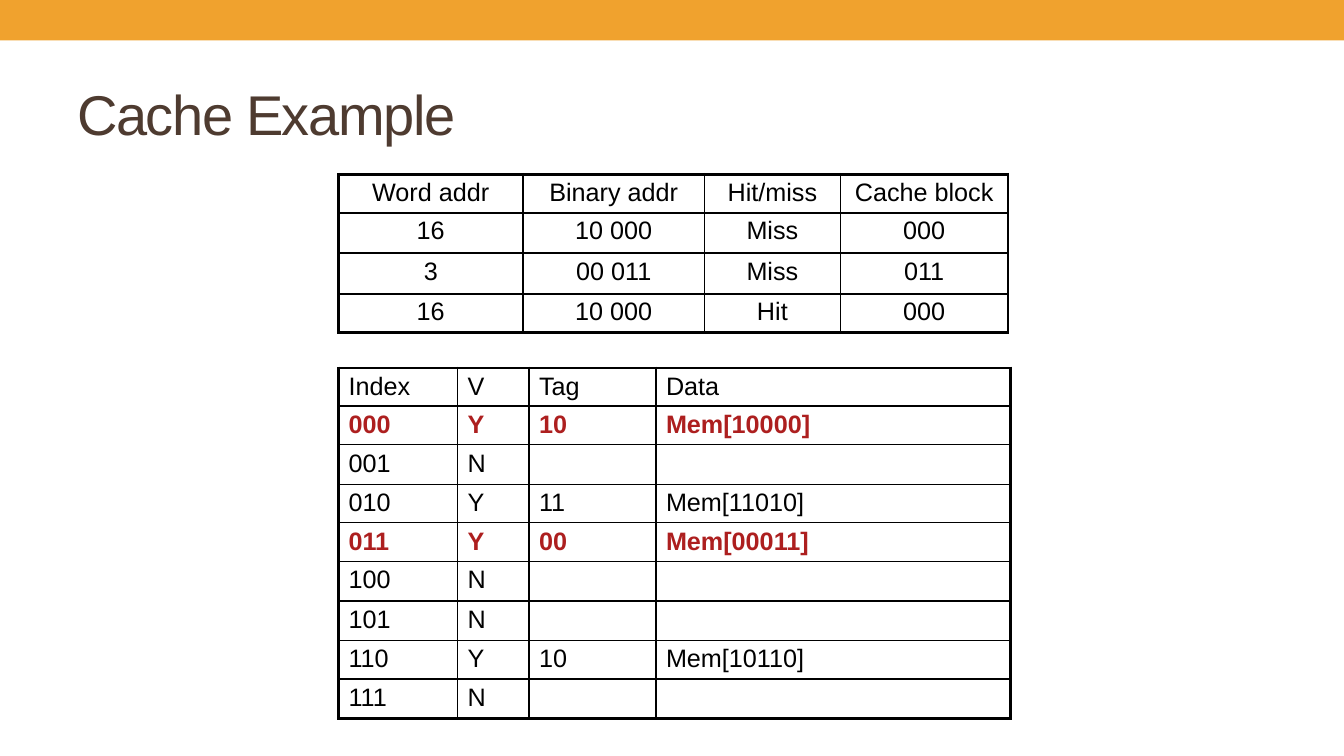
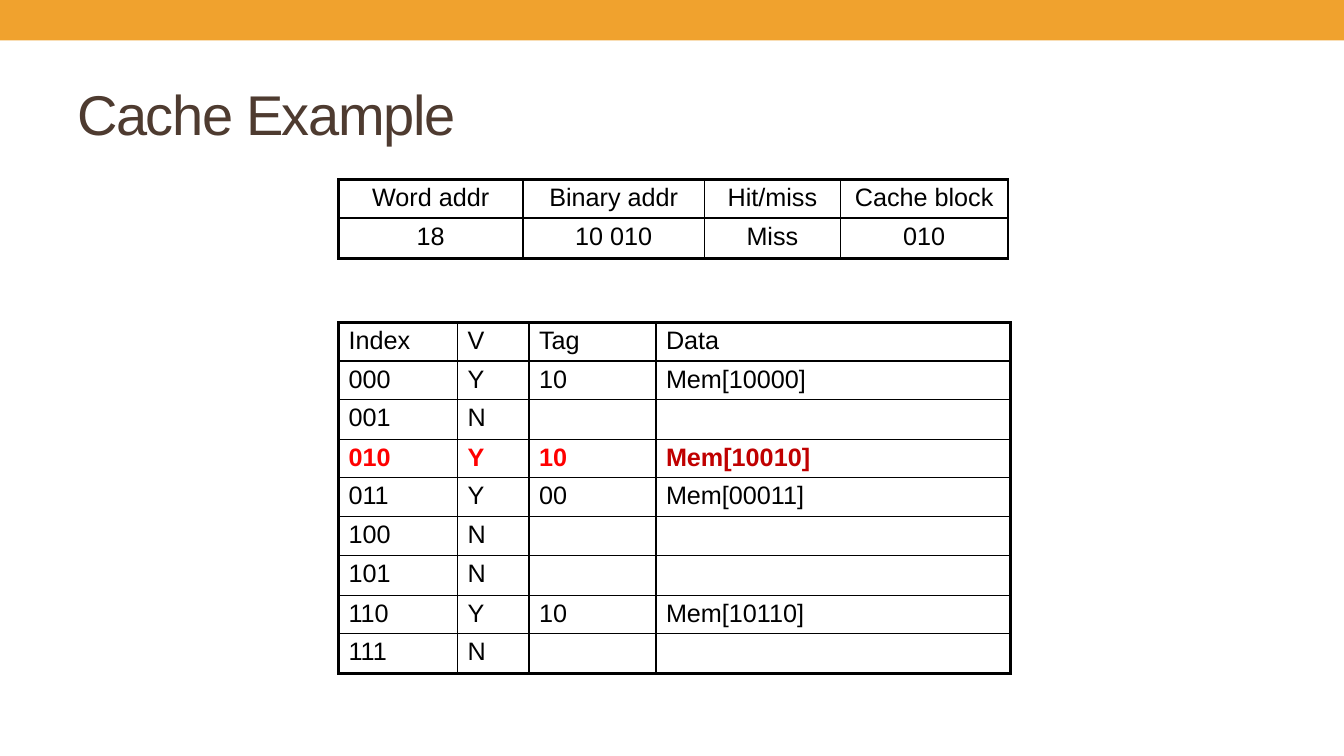
from dataclasses import dataclass

from lxml.etree import SubElement
from pptx import Presentation
from pptx.dml.color import RGBColor
from pptx.enum.shapes import MSO_SHAPE as Shape
from pptx.enum.text import MSO_ANCHOR as Anchor, PP_ALIGN as Align
from pptx.oxml.ns import qn
from pptx.util import Cm, Pt

AMBER = RGBColor(0xF0, 0xA2, 0x2E)
BROWN = RGBColor(0x4E, 0x3B, 0x30)
BLACK = RGBColor(0x00, 0x00, 0x00)
BRICK = RGBColor(0xAD, 0x1F, 0x1F)
RED = RGBColor(0xFF, 0x00, 0x00)
DARK_RED = RGBColor(0xC0, 0x00, 0x00)

SLIDE_WIDTH, SLIDE_HEIGHT = Cm(33.87), Cm(19.05)
BAND_HEIGHT = Cm(1.02)
TITLE_BOX = {"left": Cm(1.69), "top": Cm(1.47), "width": Cm(30.48), "height": Cm(2.74)}
TITLE_FONT = {"name": "Arial", "size": Pt(40), "bold": False}
CELL_FONT = {"name": "Arial", "size": Pt(18)}
CELL_MARGINS = {"margin_top": Cm(0.11), "margin_bottom": Cm(0.11)}

TABLES_LEFT = Cm(8.53)
ROW_HEIGHT, TALL_ROW_HEIGHT = Cm(0.97), Cm(1.02)
OUTER_LINE, HEADER_LINE, THIN_LINE = Pt(2.25), Pt(1.5), Pt(1)
INDEX_BITS = 3


@dataclass(frozen=True)
class TableLook:
    headings: tuple[str, ...]
    widths_cm: tuple[float, ...]
    align: Align
    row_line: Pt


@dataclass(frozen=True)
class Access:
    word: int
    outcome: str


@dataclass(frozen=True)
class CacheStep:
    accesses: tuple[Access, ...]
    accesses_top: Cm
    tags: dict[int, str]
    cache_top: Cm
    highlights: dict[int, tuple[RGBColor, ...]]


ACCESS_LOOK = TableLook(
    ("Word addr", "Binary addr", "Hit/miss", "Cache block"),
    (4.65, 4.57, 3.43, 4.22), Align.CENTER, HEADER_LINE,
)
CACHE_LOOK = TableLook(
    ("Index", "V", "Tag", "Data"),
    (3.0, 1.8, 3.2, 8.94), Align.LEFT, THIN_LINE,
)

STEPS = (
    CacheStep(
        accesses=(Access(16, "Miss"), Access(3, "Miss"), Access(16, "Hit")),
        accesses_top=Cm(4.39),
        tags={0: "10", 2: "11", 3: "00", 6: "10"},
        cache_top=Cm(9.27),
        highlights={0: (BRICK,) * 4, 3: (BRICK,) * 4},
    ),
    CacheStep(
        accesses=(Access(18, "Miss"),),
        accesses_top=Cm(4.52),
        tags={0: "10", 2: "10", 3: "00", 6: "10"},
        cache_top=Cm(8.13),
        highlights={2: (RED, RED, RED, DARK_RED)},
    ),
)


def apply(target, values: dict) -> None:
    for name, value in values.items():
        setattr(target, name, value)


def access_row(access: Access) -> tuple[str, ...]:
    bits = f"{access.word:05b}"
    tag, index = bits[:-INDEX_BITS], bits[-INDEX_BITS:]
    return str(access.word), f"{tag} {index}", access.outcome, index


def cache_row(block: int, tags: dict[int, str]) -> tuple[str, ...]:
    index = f"{block:0{INDEX_BITS}b}"
    if block not in tags:
        return index, "N", "", ""
    tag = tags[block]
    return index, "Y", tag, f"Mem[{tag}{index}]"


def set_borders(cell, widths: dict[str, Pt]) -> None:
    """Draw black borders; widths has the keys L, R, T, B in schema order."""
    properties = cell._tc.get_or_add_tcPr()
    for position, (side, width) in enumerate(widths.items()):
        line = SubElement(properties, qn(f"a:ln{side}"), w=str(int(width)))
        fill = SubElement(line, qn("a:solidFill"))
        SubElement(fill, qn("a:srgbClr"), val=str(BLACK))
        properties.insert(position, line)


def write_cell(cell, text: str, align: Align, color: RGBColor) -> None:
    apply(cell, CELL_MARGINS)
    cell.fill.background()
    paragraph = cell.text_frame.paragraphs[0]
    paragraph.alignment = align
    if text:
        run = paragraph.add_run()
        run.text = text
        apply(run.font, CELL_FONT | {"bold": color != BLACK})
        run.font.color.rgb = color


def add_grid(slide, look: TableLook, top: Cm, body: list[tuple[str, ...]],
             heights: list[Cm], highlights: dict[int, tuple[RGBColor, ...]]) -> None:
    """Add a table; highlights maps body row numbers to one colour per column."""
    rows = [look.headings, *body]
    widths = [Cm(width) for width in look.widths_cm]
    table = slide.shapes.add_table(
        len(rows), len(widths), TABLES_LEFT, top, sum(widths), sum(heights)
    ).table
    apply(table, {"first_row": False, "horz_banding": False})
    for column, width in zip(table.columns, widths):
        column.width = width
    for row, height in zip(table.rows, heights):
        row.height = height

    inner_lines = [look.row_line] * (len(body) - 1)
    row_lines = [OUTER_LINE, HEADER_LINE, *inner_lines, OUTER_LINE]
    column_lines = [OUTER_LINE, *[THIN_LINE] * (len(widths) - 1), OUTER_LINE]
    for r, texts in enumerate(rows):
        colors = highlights.get(r - 1, (BLACK,) * len(widths))
        for c, (text, color) in enumerate(zip(texts, colors)):
            cell = table.cell(r, c)
            write_cell(cell, text, look.align, color)
            set_borders(cell, {
                "L": column_lines[c], "R": column_lines[c + 1],
                "T": row_lines[r], "B": row_lines[r + 1],
            })


def add_master_band(prs, slide) -> None:
    """Make the top band on a slide, then move it to the master for all slides."""
    band = slide.shapes.add_shape(Shape.RECTANGLE, 0, 0, SLIDE_WIDTH, BAND_HEIGHT)
    band.shadow.inherit = False
    band.fill.solid()
    band.fill.fore_color.rgb = AMBER
    band.line.fill.background()
    prs.slide_master.shapes.element.insert(2, band.element)


def write_title(slide, text: str) -> None:
    title = slide.shapes.title
    apply(title, TITLE_BOX)
    apply(title.text_frame, {"vertical_anchor": Anchor.MIDDLE, "word_wrap": True})
    paragraph = title.text_frame.paragraphs[0]
    paragraph.alignment = Align.LEFT
    run = paragraph.add_run()
    run.text = text
    apply(run.font, TITLE_FONT)
    run.font.color.rgb = BROWN
    run._r.get_or_add_rPr().set("spc", "-100")


def add_step(slide, step: CacheStep) -> None:
    write_title(slide, "Cache Example")
    blocks = 2 ** INDEX_BITS
    add_grid(slide, CACHE_LOOK, step.cache_top,
             [cache_row(block, step.tags) for block in range(blocks)],
             [ROW_HEIGHT] * (blocks + 1), step.highlights)

    access_heights = [ROW_HEIGHT, *[TALL_ROW_HEIGHT] * len(step.accesses)]
    if len(step.accesses) > 1:
        access_heights[-1] = ROW_HEIGHT
    add_grid(slide, ACCESS_LOOK, step.accesses_top,
             [access_row(access) for access in step.accesses],
             access_heights, {})


def main() -> None:
    prs = Presentation()
    apply(prs, {"slide_width": SLIDE_WIDTH, "slide_height": SLIDE_HEIGHT})
    title_only = prs.slide_layouts[5]
    slides = [prs.slides.add_slide(title_only) for _ in STEPS]
    add_master_band(prs, slides[0])
    for slide, step in zip(slides, STEPS):
        add_step(slide, step)
    prs.save("out.pptx")


if __name__ == "__main__":
    main()
